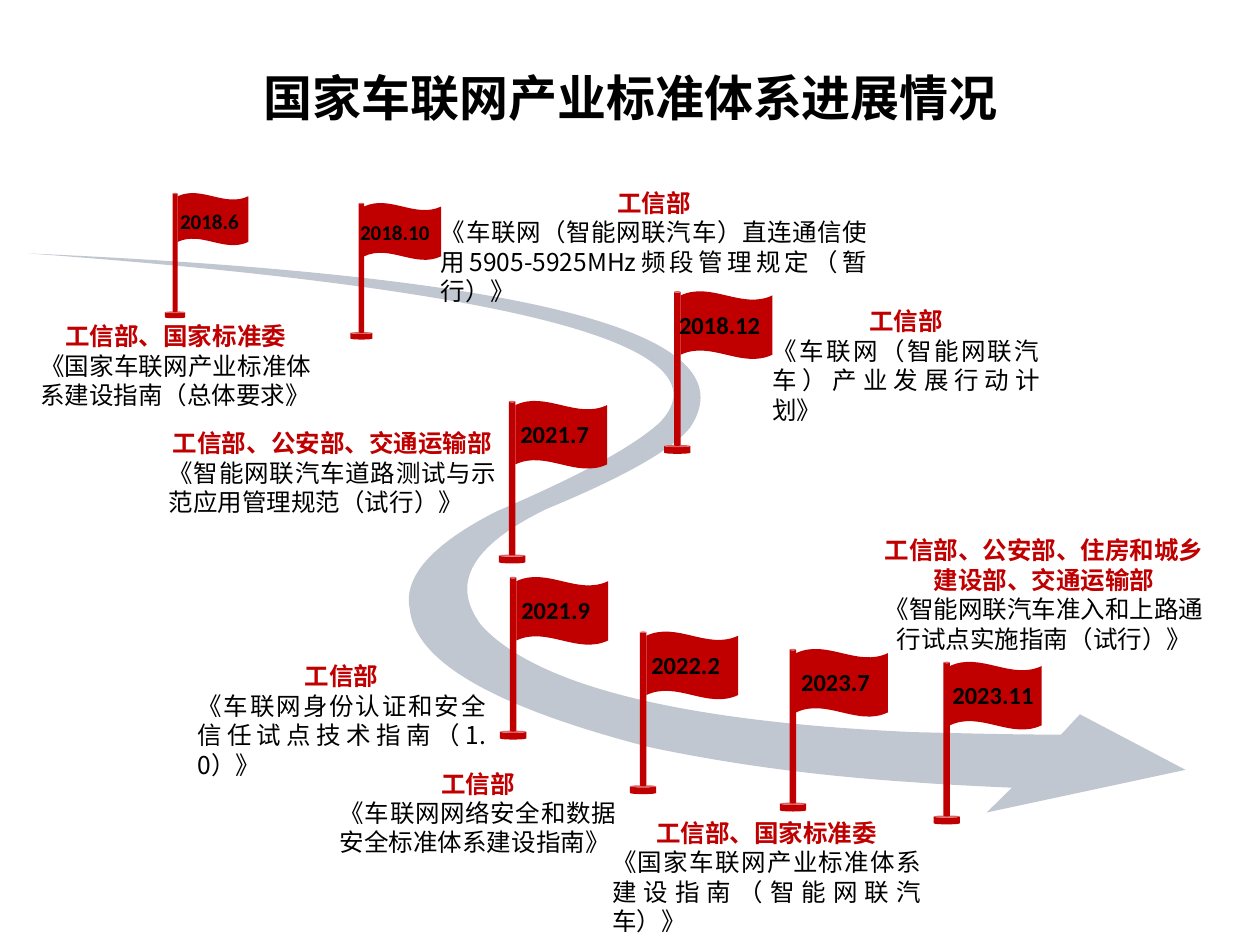
"""Build the slide on the progress of the national connected-vehicle standards system."""
from lxml.etree import SubElement
from pptx import Presentation
from pptx.dml.color import RGBColor
from pptx.enum.shapes import MSO_SHAPE as SHAPE
from pptx.enum.text import MSO_ANCHOR as ANCHOR, PP_ALIGN as ALIGN
from pptx.oxml.ns import qn
from pptx.util import Cm, Pt

RED = RGBColor(0xC0, 0x00, 0x00)
BLACK = RGBColor(0x00, 0x00, 0x00)
ROAD = RGBColor(0xC1, 0xC7, 0xD0)
CJK = "Noto Sans CJK SC"

ROAD_START = (21.39, 14.81)
ROAD_SEGMENTS = [
    [(21.77, 14.40)],
    [(23.90, 15.52)],
    [(19.89, 16.38)],
    [(20.40, 15.88)],
    [(19.74, 15.85), (19.08, 15.82), (18.42, 15.77)],
    [(16.56, 15.65), (14.78, 15.42), (13.08, 15.06)],
    [(9.96, 14.25), (8.36, 13.34), (8.26, 12.27)],
    [(8.13, 11.63), (8.71, 10.97), (10.01, 10.31)],
    [(11.66, 9.60), (12.75, 9.02), (13.31, 8.51)],
    [(14.73, 6.99), (10.49, 5.84), (0.58, 5.11)],
    [(10.72, 5.56), (15.16, 6.71), (13.92, 8.61)],
    [(13.59, 9.04), (12.62, 9.60), (11.02, 10.26)],
    [(9.50, 11.00), (9.07, 11.76), (9.70, 12.60)],
    [(10.80, 13.82), (13.72, 14.55), (18.42, 14.76)],
    [(19.33, 14.78), (20.32, 14.81), (21.39, 14.81)],
]

FLAGS = [
    ("2023.7", 16.05, 13.08, -0.15, 1, 14),
    ("2022.2", 13.03, 12.73, -0.15, 1, 14),
    ("2021.9", 10.41, 11.63, -0.15, 1, 14),
    ("2018.12", 13.72, 5.87, -0.28, 1, 14),
    ("2018.10", 7.34, 4.09, -0.33, 0.84, 12),
    ("2018.6", 3.58, 3.89, -0.2, 0.77, 12),
    ("2021.7", 10.39, 8.08, -0.15, 1, 14),
    ("2023.11", 19.15, 13.34, -0.2, 1, 14),
]

FLAG_PARTS = [
    (SHAPE.WAVE, 0, 0, 1.85, 1.37),
    (SHAPE.CAN, -0.33, 3.1, 0.53, 0.18),
    (SHAPE.CAN, -0.13, 0, 0.13, 3.12),
]

LABELS = [
    ((12.09, 16.36, 6.73, 1.98), "工信部、国家标准委",
     "《国家车联网产业标准体系建设指南（智能网联汽车）》", ALIGN.JUSTIFY),
    ((6.6, 15.37, 6.07, 1.96), "工信部",
     "《车联网网络安全和数据安全标准体系建设指南》", ALIGN.JUSTIFY),
    ((3.73, 13.21, 6.32, 2.01), "工信部",
     "《车联网身份认证和安全信任试点技术指南（1.0）》", ALIGN.JUSTIFY),
    ((15.32, 6.05, 5.89, 1.78), "工信部",
     "《车联网（智能网联汽车）产业发展行动计划》", ALIGN.JUSTIFY),
    ((8.64, 3.66, 9.09, 1.96), "工信部",
     "《车联网（智能网联汽车）直连通信使用5905-5925MHz频段管理规定（暂行）》", ALIGN.JUSTIFY),
    ((0.56, 6.35, 5.97, 1.98), "工信部、国家标准委",
     "《国家车联网产业标准体系建设指南（总体要求》", ALIGN.JUSTIFY),
    ((3.15, 8.51, 7.11, 2.01), "工信部、公安部、交通运输部",
     "《智能网联汽车道路测试与示范应用管理规范（试行）》", ALIGN.JUSTIFY),
    ((17.42, 10.67, 7.26, 3.05), "工信部、公安部、住房和城乡建设部、交通运输部",
     "《智能网联汽车准入和上路通行试点实施指南（试行）》", ALIGN.CENTER),
]


def write(p, text, size, color, bold, align, font):
    """Fill one paragraph and format it."""
    r = p.add_run()
    r.text = text
    p.alignment = align
    p.font.size, p.font.bold, p.font.name = Pt(size), bold, font
    p.font.color.rgb = color
    SubElement(r._r.get_or_add_rPr(), qn("a:ea"), typeface=CJK)


def paint(sp, color):
    """Give a shape a flat fill without line or shadow."""
    sp.fill.solid()
    sp.fill.fore_color.rgb = color
    sp.line.fill.background()
    sp.shadow.inherit = False


def bend(sp, segments):
    """Turn the straight sides that have control points into cubic curves."""
    sides = list(sp._element.iter(qn("a:lnTo")))
    for side, segment in zip(sides, segments):
        if len(segment) == 3:
            curve = side.makeelement(qn("a:cubicBezTo"))
            for x, y in segment:
                SubElement(curve, qn("a:pt"), x=str(Cm(x) - sp.left), y=str(Cm(y) - sp.top))
            side.getparent().replace(side, curve)


def add_road(s):
    """Draw the winding arrow."""
    builder = s.shapes.build_freeform(*map(Cm, ROAD_START))
    ends = [segment[-1] for segment in ROAD_SEGMENTS]
    builder.add_line_segments([(Cm(x), Cm(y)) for x, y in ends], close=True)
    sp = builder.convert_to_shape()
    bend(sp, ROAD_SEGMENTS)
    paint(sp, ROAD)


def add_flag(s, date, left, top, text_dx, scale, size):
    """Draw one dated flag as a group."""
    group = s.shapes.add_group_shape()
    for kind, dx, dy, w, h in FLAG_PARTS:
        sp = group.shapes.add_shape(kind, Cm(left + dx * scale), Cm(top + dy * scale),
                                    Cm(w * scale), Cm(h * scale))
        paint(sp, RED)
        if kind == SHAPE.WAVE:
            sp.adjustments[0] = 0.064
    box = group.shapes.add_textbox(Cm(left + text_dx), Cm(top + 0.25 * scale),
                                   Cm(2.2), Cm(0.06 * size))
    tf = box.text_frame
    tf.word_wrap = False
    write(tf.paragraphs[0], date, size, BLACK, True, ALIGN.LEFT, "Calibri")


def add_label(s, place, issuer, document, align):
    """Add the issuing bodies and the document title."""
    tf = s.shapes.add_textbox(*map(Cm, place)).text_frame
    tf.word_wrap = True
    write(tf.paragraphs[0], issuer, 14, RED, True, ALIGN.CENTER, CJK)
    write(tf.add_paragraph(), document, 14, BLACK, False, align, CJK)
    for p in tf.paragraphs:
        p.line_spacing = Pt(16.8)


def set_title(s, text):
    """Place and format the title."""
    title = s.shapes.title
    title.left, title.top, title.width, title.height = map(Cm, (4.83, 1.23, 15.77, 1.45))
    tf = title.text_frame
    tf.word_wrap = True
    tf.vertical_anchor = ANCHOR.MIDDLE
    write(tf.paragraphs[0], text, 28, BLACK, True, ALIGN.CENTER, "Arial")


def main():
    """Build and save the presentation."""
    prs = Presentation()
    prs.slide_width, prs.slide_height = Cm(25.4), Cm(19.05)
    s = prs.slides.add_slide(prs.slide_layouts[5])
    set_title(s, "国家车联网产业标准体系进展情况")
    add_road(s)
    for flag in FLAGS:
        add_flag(s, *flag)
    for label in LABELS:
        add_label(s, *label)
    prs.save("out.pptx")


main()
